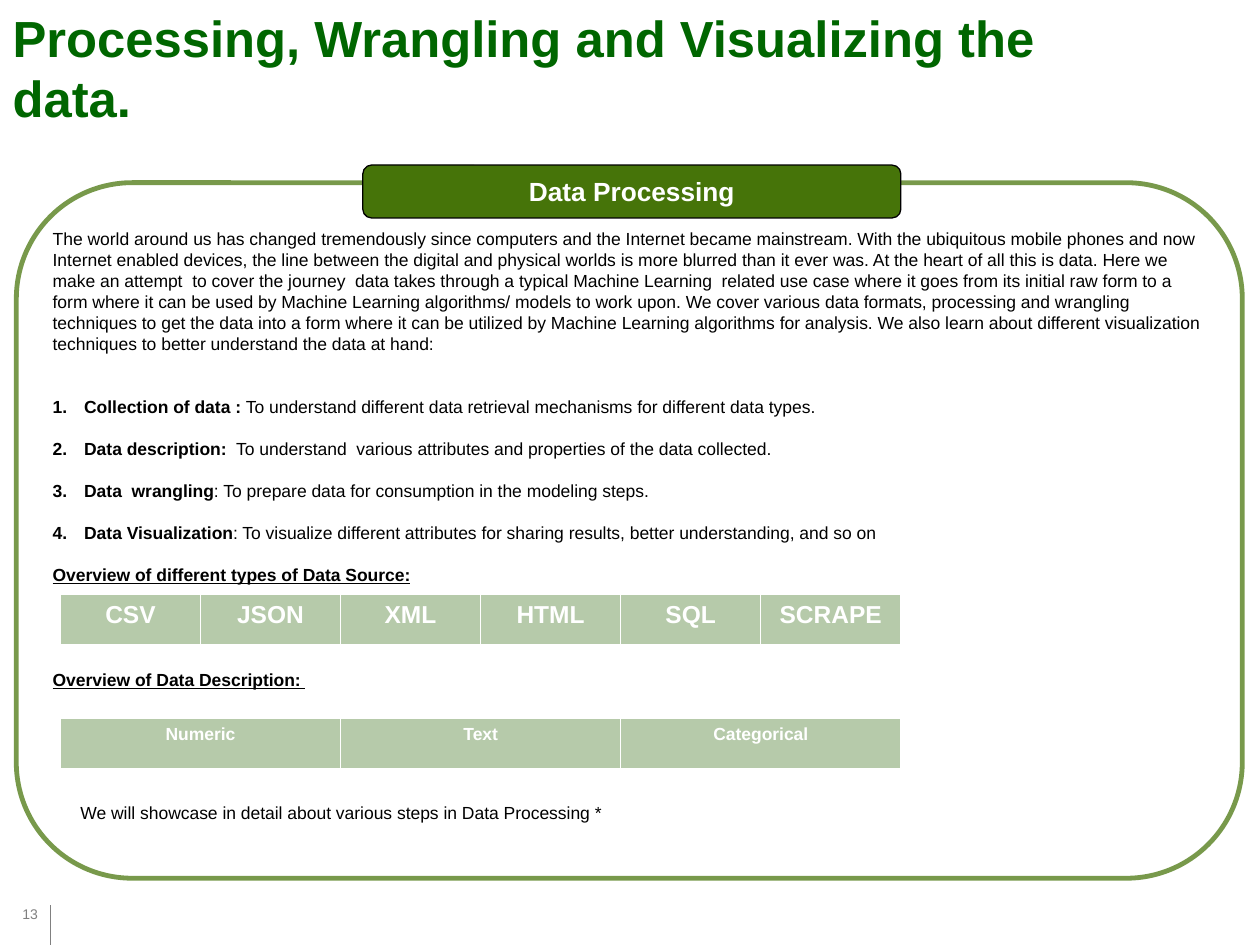
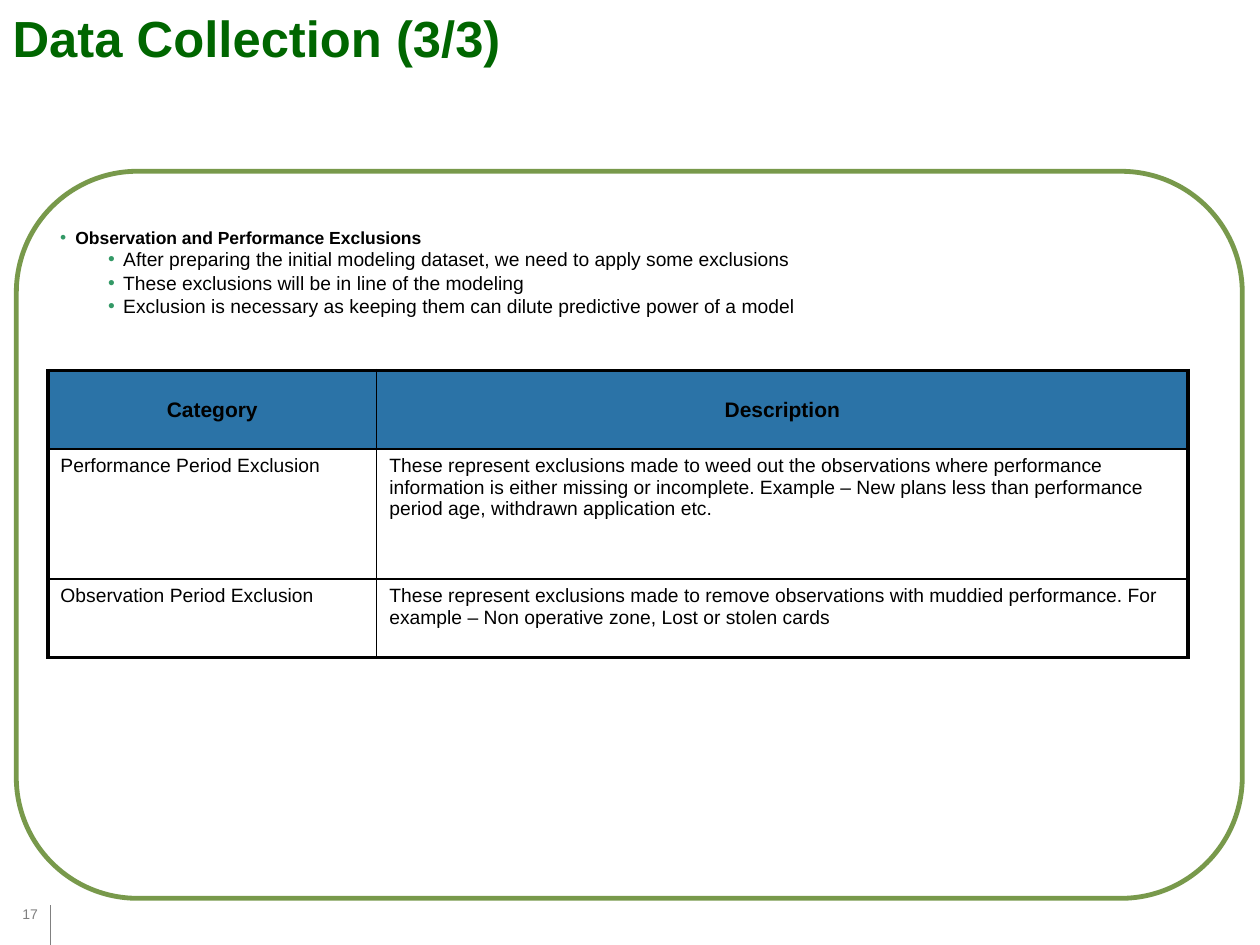
from dataclasses import dataclass

from lxml.etree import SubElement
from pptx import Presentation
from pptx.dml.color import RGBColor
from pptx.enum.shapes import MSO_CONNECTOR, MSO_SHAPE
from pptx.enum.text import MSO_ANCHOR, PP_ALIGN
from pptx.oxml.ns import qn
from pptx.util import Inches, Pt

FONT = "Arial"
BLACK = RGBColor(0x00, 0x00, 0x00)
WHITE = RGBColor(0xFF, 0xFF, 0xFF)
GRAY = RGBColor(0x80, 0x80, 0x80)
TITLE_GREEN = RGBColor(0x00, 0x66, 0x00)
LEAF_GREEN = RGBColor(0x46, 0x74, 0x09)
PALE_GREEN = RGBColor(0xB6, 0xCA, 0xAA)
BULLET_GREEN = RGBColor(0x33, 0x99, 0x66)
HEADER_BLUE = RGBColor(0x2B, 0x73, 0xA7)

COLUMNS, ROWS = 100, 75
SLIDE_WIDTH, SLIDE_HEIGHT = Inches(10), Inches(7.5)
LINE_PITCH = 12

INTRO = (
    "The world around us has changed tremendously since computers and the Internet became mainstream. "
    "With the ubiquitous mobile phones and now Internet enabled devices, the line between the digital "
    "and physical worlds is more blurred than it ever was. At the heart of all this is data. Here we "
    "make an attempt  to cover the journey  data takes through a typical Machine Learning  related use "
    "case where it goes from its initial raw form to a form where it can be used by Machine Learning "
    "algorithms/ models to work upon. We cover various data formats, processing and wrangling "
    "techniques to get the data into a form where it can be utilized by Machine Learning algorithms "
    "for analysis. We also learn about different visualization techniques to better understand the "
    "data at hand:"
)
STEPS = [
    ("Collection of data : ", "To understand different data retrieval mechanisms for different data types."),
    ("Data description:  ", "To understand  various attributes and properties of the data collected."),
    ("Data  wrangling", ": To prepare data for consumption in the modeling steps."),
    ("Data Visualization", ": To visualize different attributes for sharing results, better understanding, and so on"),
]
EXCLUSION_POINTS = [
    "After preparing the initial modeling dataset, we need to apply some exclusions",
    "These exclusions will be in line of the modeling",
    "Exclusion is necessary as keeping them can dilute predictive power of a model",
]
EXCLUSION_TABLE = [
    ("Category", "Description"),
    ("Performance Period Exclusion",
     "These represent exclusions made to weed out the observations where performance information is "
     "either missing or incomplete. Example – New plans less than performance period age, withdrawn "
     "application etc."),
    ("Observation Period Exclusion",
     "These represent exclusions made to remove observations with muddied performance. For example – "
     "Non operative zone, Lost or stolen cards"),
]


@dataclass
class Box:
    """A rectangle in grid columns and rows."""
    left: float
    top: float
    width: float
    height: float

    def inside(self, left, top, width, height):
        return Box(self.left + left, self.top + top, width, height)

    def place(self):
        return (across(self.left), down(self.top), across(self.width), down(self.height))


def across(columns):
    return round(SLIDE_WIDTH * columns / COLUMNS)


def down(rows):
    return round(SLIDE_HEIGHT * rows / ROWS)


def add_span(para, text, size, color=BLACK, bold=False, underline=None):
    span = para.add_run()
    span.text = text
    font = span.font
    font.name, font.size, font.bold, font.underline = FONT, Pt(size), bold, underline
    font.color.rgb = color


def next_para(frame):
    """Return the empty first paragraph, or a new one."""
    first = frame.paragraphs[0]
    return frame.add_paragraph() if first.runs else first


def add_text_box(page, box):
    frame = page.shapes.add_textbox(*box.place()).text_frame
    frame.word_wrap = True
    return frame


def add_bullet(para, margin, hanging, color=None):
    """Use a coloured dot, or automatic numbers when no colour is given."""
    properties = para._p.get_or_add_pPr()
    properties.set("marL", str(across(margin)))
    properties.set("indent", str(-across(hanging)))
    if color is None:
        SubElement(properties, qn("a:buFont"), typeface="+mj-lt")
        SubElement(properties, qn("a:buAutoNum"), type="arabicPeriod")
    else:
        bullet_color = SubElement(properties, qn("a:buClr"))
        SubElement(bullet_color, qn("a:srgbClr"), val=str(color))
        SubElement(properties, qn("a:buFont"), typeface=FONT)
        SubElement(properties, qn("a:buChar"), char="•")


def add_rounded(page, box, fill, line, width):
    shape = page.shapes.add_shape(MSO_SHAPE.ROUNDED_RECTANGLE, *box.place())
    shape.shadow.inherit = False
    shape.fill.solid()
    shape.fill.fore_color.rgb = fill
    shape.line.color.rgb = line
    shape.line.width = Pt(width)
    return shape


def add_frame(page, box):
    frame = add_rounded(page, box, WHITE, LEAF_GREEN, 2.75)
    color = frame.line._ln.find(".//" + qn("a:srgbClr"))
    SubElement(color, qn("a:alpha"), val="73000")


def set_borders(cell, widths, color):
    """Widths in points run left, right, top, bottom."""
    properties = cell._tc.get_or_add_tcPr()
    for index, (side, width) in enumerate(zip("LRTB", widths)):
        line = properties.makeelement(qn(f"a:ln{side}"), w=str(Pt(width)))
        fill = SubElement(line, qn("a:solidFill"))
        SubElement(fill, qn("a:srgbClr"), val=str(color))
        properties.insert(index, line)


def add_plain_table(page, box, columns, rows):
    table = page.shapes.add_table(len(rows), len(columns), *box.place()).table
    table.first_row = table.horz_banding = False
    for column, width in zip(table.columns, columns):
        column.width = across(width)
    for row, height in zip(table.rows, rows):
        row.height = down(height)
    return table


def fill_cell(cell, text, size, color, fill=None, heading=False):
    if fill is None:
        cell.fill.background()
    else:
        cell.fill.solid()
        cell.fill.fore_color.rgb = fill
    para = cell.text_frame.paragraphs[0]
    para.alignment = PP_ALIGN.CENTER if heading else PP_ALIGN.LEFT
    add_span(para, text, size, color, bold=heading)


def add_label_strip(page, box, labels, size):
    widths = [box.width / len(labels)] * len(labels)
    table = add_plain_table(page, box, widths, [box.height])
    for cell, label in zip(table.iter_cells(), labels):
        fill_cell(cell, label, size, WHITE, PALE_GREEN, heading=True)
        set_borders(cell, (1, 1, 1, 3), WHITE)


def add_exclusion_table(page, box):
    columns = (26.1, box.width - 26.1)
    rows = (6.25, box.height - 2 * 6.25, 6.25)
    table = add_plain_table(page, box, columns, rows)
    thick, thin = 2.25, 1
    for y, texts in enumerate(EXCLUSION_TABLE):
        for x, text in enumerate(texts):
            cell = table.cell(y, x)
            if y == 0:
                fill_cell(cell, text, 12, BLACK, HEADER_BLUE, heading=True)
                cell.vertical_anchor = MSO_ANCHOR.MIDDLE
            else:
                fill_cell(cell, text, 11, BLACK)
            edges = (x == 0, x == len(columns) - 1, y == 0, y == len(rows) - 1)
            set_borders(cell, [thick if edge else thin for edge in edges], BLACK)


def add_footer(page, number):
    corner = Box(0.8, 68.5, 3.5, 5.2)
    rule = page.shapes.add_connector(
        MSO_CONNECTOR.STRAIGHT, across(4), down(ROWS), across(4), down(71.8))
    rule.line.color.rgb = GRAY
    rule.line.width = Pt(0.5)
    SubElement(rule._element.spPr, qn("a:effectLst"))
    frame = add_text_box(page, corner)
    frame.vertical_anchor = MSO_ANCHOR.BOTTOM
    add_span(frame.paragraphs[0], str(number), 8, GRAY)


def add_page(deck, title, number):
    page = deck.slides.add_slide(deck.slide_layouts[5])
    holder = page.shapes.title
    holder.left, holder.top, holder.width, holder.height = Box(0, 0, 93.3, 10.8).place()
    frame = holder.text_frame
    frame.word_wrap = True
    frame.vertical_anchor = MSO_ANCHOR.TOP
    frame.paragraphs[0].alignment = PP_ALIGN.LEFT
    add_span(frame.paragraphs[0], title, 29, TITLE_GREEN, bold=True)
    add_footer(page, number)
    return page


def add_banner(page, box, text):
    banner = add_rounded(page, box, LEAF_GREEN, BLACK, 0.75)
    frame = banner.text_frame
    frame.margin_left = frame.margin_right = Inches(0.05)
    frame.vertical_anchor = MSO_ANCHOR.MIDDLE
    para = frame.paragraphs[0]
    para.alignment = PP_ALIGN.CENTER
    add_span(para, text, 15, WHITE, bold=True)


def add_processing_text(page, box):
    frame = add_text_box(page, box)
    add_span(next_para(frame), INTRO, 10)
    for index, (name, purpose) in enumerate(STEPS):
        para = next_para(frame)
        para.space_before = Pt(LINE_PITCH * (1 if index else 2))
        add_bullet(para, 2.5, 2.5)
        add_span(para, name, 10, bold=True)
        add_span(para, purpose, 10)
    for heading, blank_lines in (("Overview of different types of Data Source:", 1),
                                 ("Overview of Data Description: ", 4)):
        para = next_para(frame)
        para.space_before = Pt(LINE_PITCH * blank_lines)
        add_span(para, heading, 10, bold=True, underline=True)
    for para in frame.paragraphs:
        para.line_spacing = Pt(LINE_PITCH)


def build_processing(page, box):
    add_frame(page, box)
    add_banner(page, box.inside(27.5, -1.4, 42.7, 4.2), "Data Processing")
    add_processing_text(page, box.inside(1.9, 3.1, 93.6, 41.4))
    sources = ["CSV", "JSON", "XML", "HTML", "SQL", "SCRAPE"]
    add_label_strip(page, box.inside(3.5, 32.7, 66.7, 4.1), sources, 14)
    add_label_strip(page, box.inside(3.5, 42.5, 66.7, 4.1), ["Numeric", "Text", "Categorical"], 10)
    closing = add_text_box(page, box.inside(4.1, 48.7, 84.6, 2.7))
    add_span(next_para(closing), "We will showcase in detail about various steps in Data Processing *", 10)


def build_collection(page, box):
    add_frame(page, box)
    frame = add_text_box(page, box.inside(2.5, 3.9, 92.6, 8.2))
    heading = next_para(frame)
    add_bullet(heading, 1.2, 1.2, BULLET_GREEN)
    add_span(heading, "Observation and Performance Exclusions", 10, bold=True)
    for point in EXCLUSION_POINTS:
        para = next_para(frame)
        para.level = 1
        add_bullet(para, 5, 1.2, BULLET_GREEN)
        add_span(para, point, 11)
    add_exclusion_table(page, box.inside(2.5, 15.8, 90.5, 22.8))


def main():
    deck = Presentation()
    deck.slide_width, deck.slide_height = SLIDE_WIDTH, SLIDE_HEIGHT
    processing = add_page(deck, "Processing, Wrangling and Visualizing the data.", 13)
    build_processing(processing, Box(1.3, 14.5, 97.3, 55.2))
    collection = add_page(deck, "Data Collection (3/3)", 17)
    build_collection(collection, Box(1.3, 13.6, 97.3, 57.7))
    deck.save("out.pptx")


if __name__ == "__main__":
    main()
